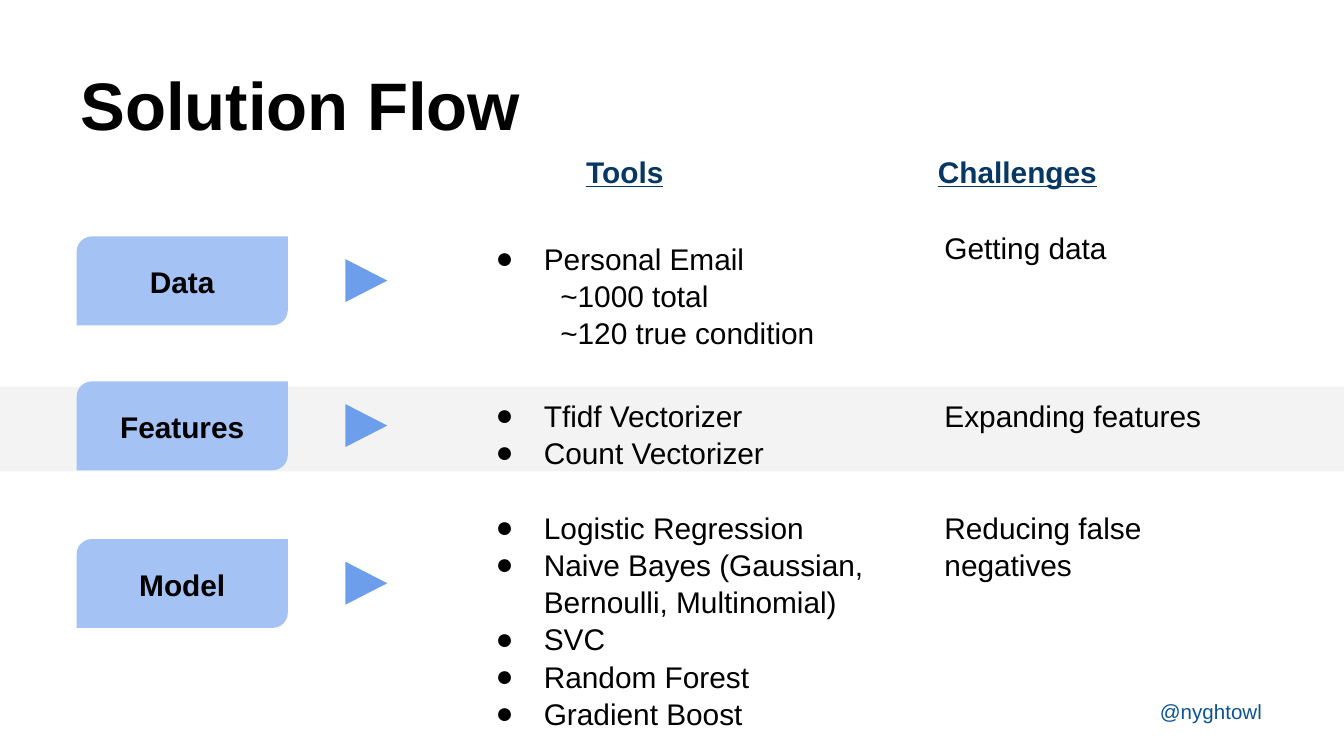
from pptx import Presentation, util as u
from pptx.dml.color import RGBColor
from pptx.enum import shapes, text
from lxml import etree

BLACK = RGBColor(0x00, 0x00, 0x00)
NAVY = RGBColor(0x07, 0x37, 0x63)
BLUE = RGBColor(0x0B, 0x53, 0x94)
ARROW = RGBColor(0x6D, 0x9E, 0xEB)
CARD = RGBColor(0xA4, 0xC2, 0xF4)
BAND = RGBColor(0xF3, 0xF3, 0xF3)
LEFT = text.PP_ALIGN.LEFT
MID = text.PP_ALIGN.CENTER
NS = "{http://schemas.openxmlformats.org/drawingml/2006/main}"


class Deck:
    font = "Arial"
    size = 16
    inset = u.Cm(0.25)
    spacing = 1.04

    def __init__(self, slide):
        self.slide = slide

    def style(self, frame, size=size, color=BLACK, bold=False, line=False, align=LEFT,
              anchor=text.MSO_ANCHOR.TOP):
        frame.word_wrap = True
        frame.vertical_anchor = anchor
        frame.margin_left = frame.margin_right = self.inset
        frame.margin_top = frame.margin_bottom = self.inset
        for para in frame.paragraphs:
            para.alignment = align
            para.line_spacing = self.spacing
            for run in para.runs:
                font = run.font
                font.name, font.size = self.font, u.Pt(size)
                font.bold, font.underline = bold, line
                font.color.rgb = color

    def label(self, words, x, y, w, h, **look):
        box = self.slide.shapes.add_textbox(u.Cm(x), u.Cm(y), u.Cm(w), u.Cm(h))
        box.text_frame.text = words
        self.style(box.text_frame, **look)
        return box.text_frame

    def shape(self, kind, x, y, w, h, fill, adjust=()):
        item = self.slide.shapes.add_shape(kind, u.Cm(x), u.Cm(y), u.Cm(w), u.Cm(h))
        item.shadow.inherit = False
        item.fill.solid()
        item.fill.fore_color.rgb = fill
        item.line.fill.background()
        for i, value in enumerate(adjust):
            item.adjustments[i] = value
        return item

    def card(self, words, x, y, w, h):
        kind = shapes.MSO_SHAPE.ROUND_2_DIAG_RECTANGLE
        item = self.shape(kind, x, y, w, h, CARD, (0.17, 0))
        item.text_frame.text = words
        self.style(item.text_frame, bold=True, align=MID, anchor=text.MSO_ANCHOR.MIDDLE)

    def arrow(self, x, y, w, h):
        self.shape(shapes.MSO_SHAPE.RIGHT_ARROW, x, y, w, h, ARROW, (0.41, 1.59))

    def bullets(self, items, subs, x, y, w, h):
        frame = self.label("\n".join(items + subs), x, y, w, h)
        for i, para in enumerate(frame.paragraphs):
            props = para._p.get_or_add_pPr()
            if i < len(items):
                props.set("marL", str(u.Cm(1.27)))
                props.set("indent", str(u.Cm(-0.91)))
                color = etree.SubElement(props, NS + "buClr")
                etree.SubElement(color, NS + "srgbClr", val=str(BLACK))
                etree.SubElement(props, NS + "buFont", typeface=self.font)
                etree.SubElement(props, NS + "buChar", char="●")
            else:
                props.set("marL", str(u.Cm(1.58)))
                props.set("indent", "0")


ROWS = [
    ("Data", 4.47, ["Personal Email"], ["~1000 total", "~120 true condition"],
     4.27, 2.26, "Getting data", 4.06, 5),
    ("Features", 7.21, ["Tfidf Vectorizer", "Count Vectorizer"], [],
     7.24, 1.68, "Expanding features", 7.24, 5.44),
    ("Model", 10.19,
     ["Logistic Regression", "Naive Bayes (Gaussian, Bernoulli, Multinomial)",
      "SVC", "Random Forest", "Gradient Boost"], [],
     9.35, 4.42, "Reducing false negatives", 9.35, 5),
]


def main():
    show = Presentation()
    show.slide_width, show.slide_height = u.Cm(25.4), u.Cm(14.29)
    deck = Deck(show.slides.add_slide(show.slide_layouts[6]))

    deck.shape(shapes.MSO_SHAPE.RECTANGLE, 0, 7.31, 25.4, 1.6, BAND)
    deck.label("Solution Flow", 1.27, 0.58, 22.86, 2.39, size=36, bold=True,
               anchor=text.MSO_ANCHOR.BOTTOM)
    for words, x in (("Tools", 9.09), ("Challenges", 16.51)):
        deck.label(words, x, 2.62, 5.44, 1.07, color=NAVY, bold=True, line=True, align=MID)

    for name, top, tools, subs, y, h, issue, side, w in ROWS:
        deck.arrow(6.53, top + 0.43, 0.79, 0.81)
        deck.card(name, 1.45, top, 3.99, 1.68)
        deck.bullets(tools, subs, 8.76, y, 8.1, h)
        deck.label(issue, 17.6, side, w, 1.6)

    deck.label("@nyghtowl", 21.67, 12.95, 3, 1.32, size=11, color=BLUE)
    show.save("out.pptx")


if __name__ == "__main__":
    main()
